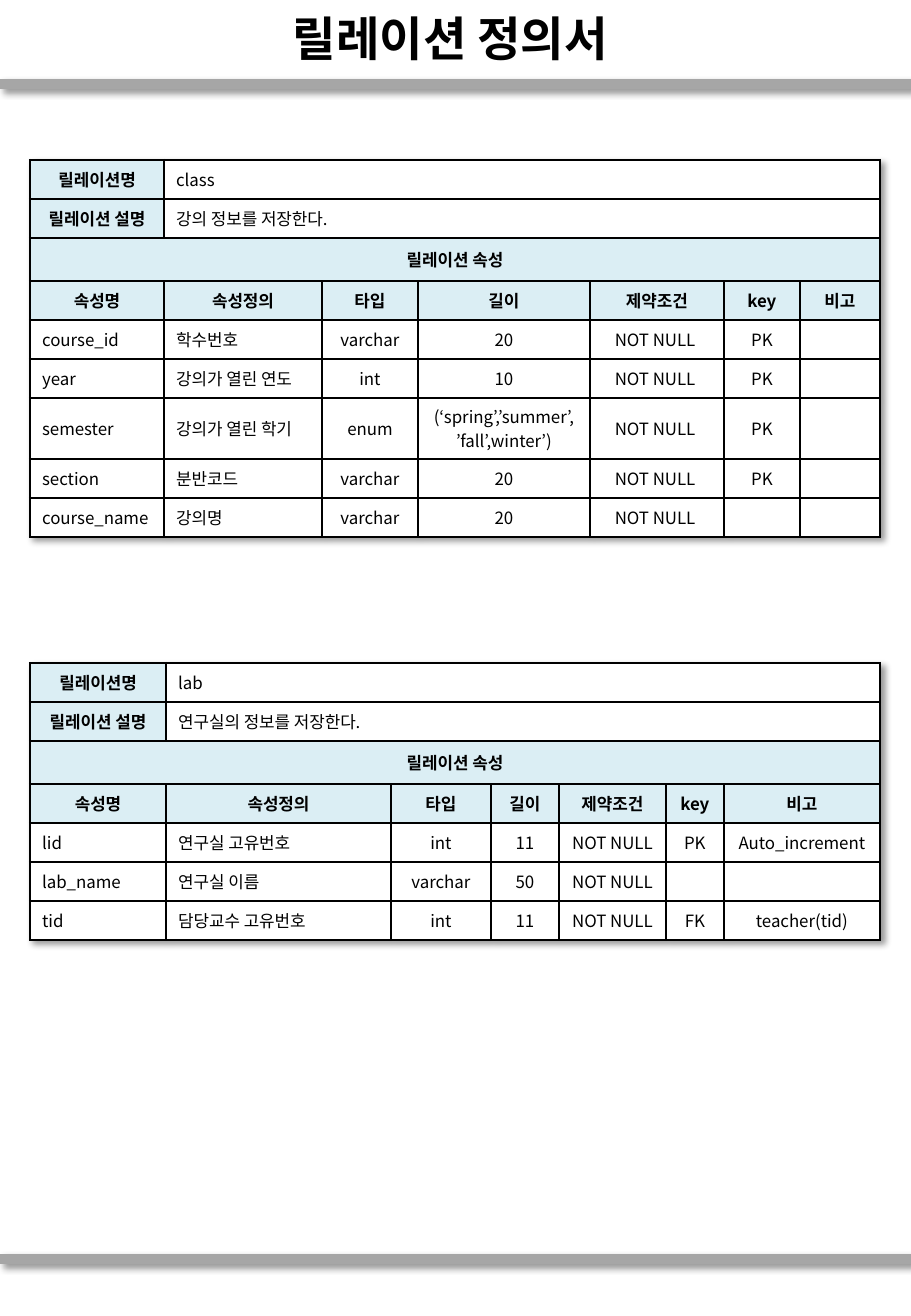
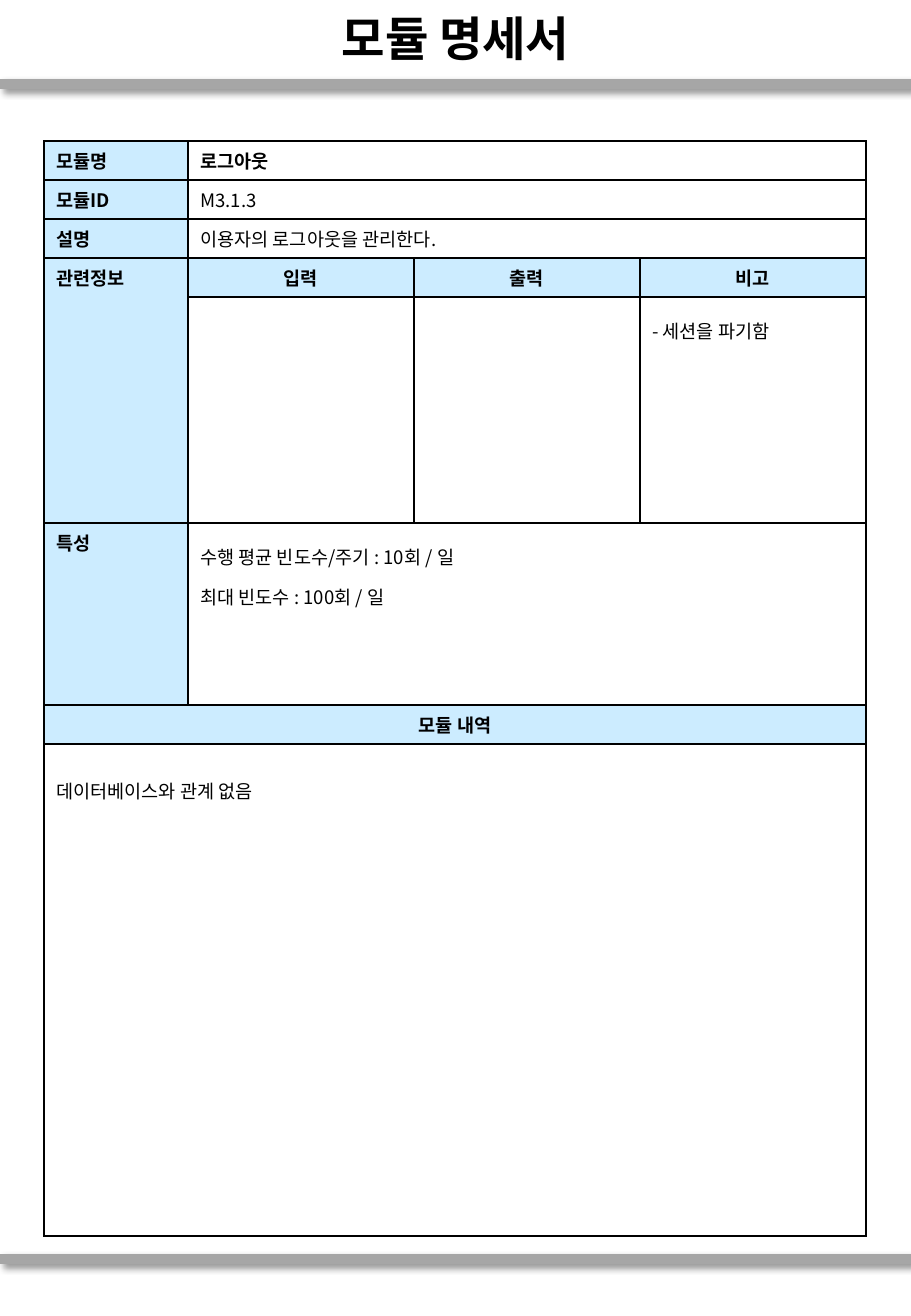
from lxml import etree
from pptx import Presentation
from pptx.dml.color import RGBColor
from pptx.enum.shapes import MSO_CONNECTOR
from pptx.enum.text import MSO_ANCHOR, PP_ALIGN
from pptx.oxml import parse_xml
from pptx.oxml.ns import nsdecls, qn
from pptx.util import Emu, Pt

PX = 914400 / 121.5
STRAIGHT = MSO_CONNECTOR.STRAIGHT
LEFT, CENTER = PP_ALIGN.LEFT, PP_ALIGN.CENTER
TOP, MIDDLE = MSO_ANCHOR.TOP, MSO_ANCHOR.MIDDLE
BLACK = RGBColor(0, 0, 0)
WHITE = RGBColor(255, 255, 255)
GRAY = RGBColor(0xA6, 0xA6, 0xA6)
PALE_TEAL = RGBColor(0xDB, 0xEE, 0xF4)
PALE_BLUE = RGBColor(0xCC, 0xEC, 0xFF)
FONT = "Noto Sans CJK KR"
PAGE_WIDTH, PAGE_HEIGHT = 911, 1316
BAND_TOPS = (84, 1259)
SHADOW = (
    f'<a:effectLst {nsdecls("a")}>'
    '<a:outerShdw blurRad="50800" dist="38100" dir="2700000" algn="tl" rotWithShape="0">'
    '<a:srgbClr val="000000"><a:alpha val="40000"/></a:srgbClr>'
    "</a:outerShdw></a:effectLst>"
)


def px(length):
    return Emu(round(length * PX))


def write(frame, text, size=10, font=FONT, bold=False, align=LEFT, spacing=1.0):
    for index, line in enumerate(text.split("\n")):
        para = frame.paragraphs[0] if index == 0 else frame.add_paragraph()
        para.alignment = align
        para.line_spacing = spacing
        if line:
            span = para.add_run()
            span.text = line
            span.font.size = Pt(size)
            span.font.name = font
            span.font.bold = bold
            span.font.color.rgb = BLACK
            etree.SubElement(span._r.get_or_add_rPr(), qn("a:ea"), typeface=FONT)
        else:
            etree.SubElement(para._p, qn("a:endParaRPr"), sz=str(size * 100))


relations = [
    {
        "top": 160,
        "widths": [134, 158, 96, 172, 134, 76, 80],
        "name": "class",
        "about": "강의 정보를 저장한다.",
        "fields": [
            ["course_id", "학수번호", "varchar", "20", "NOT NULL ", "PK", ""],
            ["year", "강의가 열린 연도", "int", "10", "NOT NULL ", "PK", ""],
            ["semester", "강의가 열린 학기", "enum",
             "(‘spring’,’summer’,\n’fall’,winter’)", "NOT NULL ", "PK", ""],
            ["section", "분반코드", "varchar", "20", "NOT NULL ", "PK", ""],
            ["course_name", "강의명", "varchar", "20", "NOT NULL ", "", ""],
        ],
        "heights": [39, 39, 61, 39, 39],
    },
    {
        "top": 663,
        "widths": [136, 225, 100, 68, 107, 58, 156],
        "name": "lab",
        "about": "연구실의 정보를 저장한다.",
        "fields": [
            ["lid", "연구실 고유번호", "int", "11", "NOT NULL", "PK", "Auto_increment"],
            ["lab_name", "연구실 이름", "varchar", "50", "NOT NULL", "", ""],
            ["tid", "담당교수 고유번호", "int", "11", "NOT NULL", "FK", "teacher(tid)"],
        ],
        "heights": [39, 39, 39],
    },
]

relation_heads = {(0, 0), (1, 0)} | {(row, column) for row in (2, 3) for column in range(7)}
relation_tables = [
    {
        "left": 30,
        "top": relation["top"],
        "widths": relation["widths"],
        "heights": [39, 39, 43, 39] + relation["heights"],
        "rows": [
            ["릴레이션명", relation["name"]],
            ["릴레이션 설명", relation["about"]],
            ["릴레이션 속성"],
            ["속성명", "속성정의", "타입", "길이", "제약조건", "key", "비고"],
        ] + relation["fields"],
        "merges": [(0, 1, 0, 6), (1, 1, 1, 6), (2, 0, 2, 6)],
        "heads": relation_heads,
        "bold": relation_heads,
        "centered": relation_heads | {(row, column) for row in range(9) for column in range(2, 7)},
        "spacings": {},
        "head_fill": PALE_TEAL,
        "size": 10,
        "anchor": MIDDLE,
        "outline": 1.5,
        "shadow": True,
    }
    for relation in relations
]

module_heads = {(row, 0) for row in range(7)} | {
    (row, column) for row in (3, 6) for column in range(4)
}
module_table = {
    "left": 44,
    "top": 141,
    "widths": [144, 226, 226, 226],
    "heights": [39, 39, 39, 39, 226, 182, 39, 492],
    "rows": [
        ["모듈명", "로그아웃"],
        ["모듈ID", "M3.1.3"],
        ["설명", "이용자의 로그아웃을 관리한다."],
        ["관련정보", "입력", "출력", "비고"],
        ["", "", "", "- 세션을 파기함"],
        ["특성", "수행 평균 빈도수/주기 : 10회 / 일\n최대 빈도수 : 100회 / 일"],
        ["모듈 내역"],
        ["데이터베이스와 관계 없음"],
    ],
    "merges": [(row, 1, row, 3) for row in (0, 1, 2, 5)]
    + [(3, 0, 4, 0), (6, 0, 6, 3), (7, 0, 7, 3)],
    "heads": module_heads,
    "bold": module_heads | {(0, 1)},
    "centered": {(6, 0), (3, 1), (3, 2), (3, 3)},
    "spacings": {4: 1.5, 5: 1.5, 7: 2.0},
    "head_fill": PALE_BLUE,
    "size": 11,
    "anchor": TOP,
    "outline": 1,
    "shadow": False,
}

pages = [
    ("릴레이션 정의서 ", "Arial", relation_tables),
    ("모듈 명세서", FONT, [module_table]),
]

deck = Presentation()
deck.slide_width, deck.slide_height = px(PAGE_WIDTH), px(PAGE_HEIGHT)

for title, title_font, tables in pages:
    page = deck.slides.add_slide(deck.slide_layouts[6])
    for band_top in BAND_TOPS:
        band = page.shapes.add_connector(STRAIGHT, 0, px(band_top), px(PAGE_WIDTH), px(band_top))
        band.line.color.rgb = GRAY
        band.line.width = Pt(6)
        band._element.spPr.append(parse_xml(SHADOW))

    box = page.shapes.add_textbox(0, px(1), px(PAGE_WIDTH), px(73))
    box.text_frame.word_wrap = True
    box.text_frame.vertical_anchor = MIDDLE
    write(box.text_frame, title, size=28, font=title_font, bold=True, align=CENTER)

    for table in tables:
        widths, heights = table["widths"], table["heights"]
        grid = page.shapes.add_table(
            len(heights), len(widths), px(table["left"]), px(table["top"]),
            px(sum(widths)), px(sum(heights)),
        ).table
        grid.first_row = False
        grid.horz_banding = False
        if table["shadow"]:
            grid._tbl.tblPr.insert(0, parse_xml(SHADOW))
        for column, width in enumerate(widths):
            grid.columns[column].width = px(width)
        for row, height in enumerate(heights):
            grid.rows[row].height = px(height)
        for first_row, first_column, last_row, last_column in table["merges"]:
            grid.cell(first_row, first_column).merge(grid.cell(last_row, last_column))

        for row, texts in enumerate(table["rows"]):
            padded = texts + [""] * (len(widths) - len(texts))
            for column, text in enumerate(padded):
                cell = grid.cell(row, column)
                place = (row, column)
                is_head = place in table["heads"]
                cell.vertical_anchor = table["anchor"]
                write(
                    cell.text_frame, text, size=table["size"],
                    bold=place in table["bold"],
                    align=CENTER if place in table["centered"] else LEFT,
                    spacing=1.0 if is_head else table["spacings"].get(row, 1.0),
                )
                span_width = cell.span_width if cell.is_merge_origin else 1
                on_outline = {
                    "L": column == 0,
                    "R": column + span_width == len(widths),
                    "T": row == 0,
                    "B": False,
                }
                for side, is_outer in on_outline.items():
                    weight = Pt(table["outline"] if is_outer else 1)
                    cell._tc.get_or_add_tcPr().append(parse_xml(
                        f'<a:ln{side} {nsdecls("a")} w="{weight}"><a:solidFill>'
                        f'<a:srgbClr val="{BLACK}"/></a:solidFill></a:ln{side}>'
                    ))
                cell.fill.solid()
                cell.fill.fore_color.rgb = table["head_fill"] if is_head else WHITE

deck.save("out.pptx")
